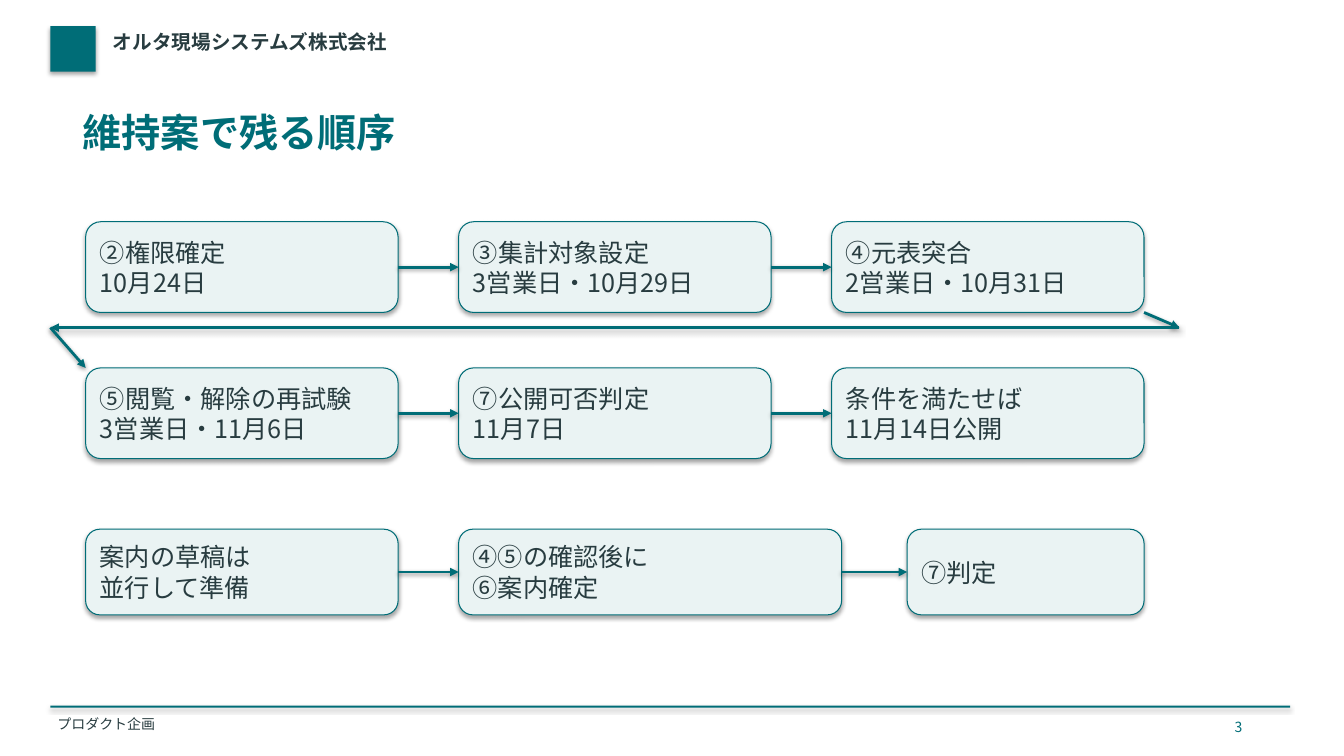
from dataclasses import dataclass

from lxml.etree import SubElement
from pptx import Presentation
from pptx.dml.color import RGBColor
from pptx.enum.shapes import MSO_CONNECTOR, MSO_SHAPE
from pptx.enum.text import MSO_ANCHOR, MSO_AUTO_SIZE, PP_ALIGN
from pptx.oxml.ns import qn
from pptx.shapes.autoshape import Shape
from pptx.shapes.connector import Connector
from pptx.slide import Slide
from pptx.text.text import TextFrame
from pptx.util import Pt

FONT = "Noto Sans CJK JP"
COLOURS = {"teal": "006D77", "ink": "283C40", "mist": "EAF3F3", "shadow": "000000"}

# Grid of the step boxes
LEFT, COLUMN_STEP, BOX_WIDTH = 61.2, 266.4, 223.2
COLUMNS = [LEFT + COLUMN_STEP * index for index in range(3)]
RIGHT = COLUMNS[-1] + BOX_WIDTH
BOX_HEIGHT, LAST_HEIGHT = 64.8, 61.2
FIRST_TOP, SECOND_TOP, LAST_TOP = 158.4, 262.8, 378
MARGIN, TURN_RIGHT, TURN_Y = 36, 842.4, 234


@dataclass
class Step:
    lines: list[str]
    left: float
    width: float = BOX_WIDTH


@dataclass
class StepRow:
    top: float
    height: float
    steps: list[Step]


@dataclass
class Label:
    text: str
    left: float
    top: float
    width: float
    height: float
    size: float
    colour: str
    bold: bool = False
    inset: float | None = 1.44
    wrap: bool = True


ROWS = [
    StepRow(FIRST_TOP, BOX_HEIGHT, [
        Step(["②権限確定", "10月24日"], COLUMNS[0]),
        Step(["③集計対象設定", "3営業日・10月29日"], COLUMNS[1]),
        Step(["④元表突合", "2営業日・10月31日"], COLUMNS[2]),
    ]),
    StepRow(SECOND_TOP, BOX_HEIGHT, [
        Step(["⑤閲覧・解除の再試験", "3営業日・11月6日"], COLUMNS[0]),
        Step(["⑦公開可否判定", "11月7日"], COLUMNS[1]),
        Step(["条件を満たせば", "11月14日公開"], COLUMNS[2]),
    ]),
    StepRow(LAST_TOP, LAST_HEIGHT, [
        Step(["案内の草稿は", "並行して準備"], COLUMNS[0]),
        Step(["④⑤の確認後に", "⑥案内確定"], COLUMNS[1], 273.6),
        Step(["⑦判定"], 648, 169.2),
    ]),
]
TITLE = Label("維持案で残る順序", 57.6, 75.6, 842.4, 54, 28, "teal", True)
LABELS = [
    Label("オルタ現場システムズ株式会社", 79.2, 20.16, 720, 28.8, 14, "ink", True),
    Label("プロダクト企画", 39.6, 509.76, 648, 15.84, 10, "ink"),
    Label("3", 874.8, 509.76, 36, 15.84, 10, "teal", inset=None, wrap=False),
]
# Corners of the way from the end of the first row to the second row
TURN = [
    (RIGHT, FIRST_TOP + BOX_HEIGHT),
    (TURN_RIGHT, TURN_Y),
    (MARGIN, TURN_Y),
    (LEFT, SECOND_TOP),
]


def rgb(name: str) -> RGBColor:
    return RGBColor.from_string(COLOURS[name])


def add_shadow(item: Shape | Connector, distance: float, opacity: int) -> None:
    effects = SubElement(item.element.spPr, qn("a:effectLst"))
    shadow = SubElement(effects, qn("a:outerShdw"), blurRad=str(Pt(3.15)),
                        dist=str(Pt(distance)), dir="5400000", rotWithShape="0")
    colour = SubElement(shadow, qn("a:srgbClr"), val=COLOURS["shadow"])
    SubElement(colour, qn("a:alpha"), val=str(opacity * 1000))


def write_lines(frame: TextFrame, lines: list[str], size: float,
                colour: str, bold: bool = False) -> None:
    text_format = {"name": FONT, "size": Pt(size), "bold": bold}
    for index, line in enumerate(lines):
        para = frame.add_paragraph() if index else frame.paragraphs[0]
        para.alignment = PP_ALIGN.LEFT
        span = para.add_run()
        span.text = line
        for name, value in text_format.items():
            setattr(span.font, name, value)
        span.font.color.rgb = rgb(colour)
        SubElement(span.font._element, qn("a:ea"), typeface=FONT)


def format_label(box: Shape, label: Label) -> None:
    for side in ("left", "top", "width", "height"):
        setattr(box, side, Pt(getattr(label, side)))
    frame = box.text_frame
    frame_format = {"word_wrap": label.wrap, "vertical_anchor": MSO_ANCHOR.TOP,
                    "auto_size": MSO_AUTO_SIZE.SHAPE_TO_FIT_TEXT}
    if label.inset is not None:
        for side in ("left", "top", "right", "bottom"):
            frame_format[f"margin_{side}"] = Pt(label.inset)
    for name, value in frame_format.items():
        setattr(frame, name, value)
    write_lines(frame, [label.text], label.size, label.colour, label.bold)


def add_block(page: Slide, kind: MSO_SHAPE, left: float, top: float, width: float,
              height: float, fill: str, outlined: bool = False) -> Shape:
    block = page.shapes.add_shape(kind, Pt(left), Pt(top), Pt(width), Pt(height))
    block.fill.solid()
    block.fill.fore_color.rgb = rgb(fill)
    if outlined:
        block.line.color.rgb = rgb("teal")
        block.line.width = Pt(0.75)
    else:
        block.line.fill.background()
    add_shadow(block, 1.81, 35)
    return block


def add_step(page: Slide, row: StepRow, step: Step) -> Shape:
    box = add_block(page, MSO_SHAPE.ROUNDED_RECTANGLE, step.left, row.top,
                    step.width, row.height, "mist", outlined=True)
    box.text_frame.vertical_anchor = MSO_ANCHOR.MIDDLE
    write_lines(box.text_frame, step.lines, 18, "ink")
    return box


def add_arrow(page: Slide, start: tuple[float, float],
              end: tuple[float, float]) -> Connector:
    arrow = page.shapes.add_connector(
        MSO_CONNECTOR.STRAIGHT, *(Pt(value) for value in (*start, *end)))
    arrow.line.color.rgb = rgb("teal")
    arrow.line.width = Pt(2)
    SubElement(arrow.element.spPr.find(qn("a:ln")), qn("a:tailEnd"), type="triangle")
    add_shadow(arrow, 1.57, 38)
    return arrow


def add_row(page: Slide, row: StepRow) -> None:
    boxes = [add_step(page, row, step) for step in row.steps]
    middle = row.top + row.height / 2
    for index, (before, after) in enumerate(zip(row.steps, row.steps[1:])):
        arrow = add_arrow(page, (before.left + before.width, middle),
                          (after.left, middle))
        arrow.begin_connect(boxes[index], 3)
        arrow.end_connect(boxes[index + 1], 1)


def main() -> None:
    deck = Presentation()
    deck.slide_width, deck.slide_height = Pt(960), Pt(540)
    page = deck.slides.add_slide(deck.slide_layouts[5])

    # Header mark and footer rule
    add_block(page, MSO_SHAPE.RECTANGLE, MARGIN, 18.72, 32.4, 32.4, "teal")
    add_block(page, MSO_SHAPE.RECTANGLE, MARGIN, 504, 885.6, 1.44, "teal")

    # Title, company name, footer and page number
    format_label(page.shapes.title, TITLE)
    for label in LABELS:
        format_label(page.shapes.add_textbox(0, 0, 0, 0), label)

    # Rows of steps
    for row in ROWS:
        add_row(page, row)

    # Turn from the first row to the second
    for start, end in zip(TURN, TURN[1:]):
        add_arrow(page, start, end)

    deck.save("out.pptx")


if __name__ == "__main__":
    main()
